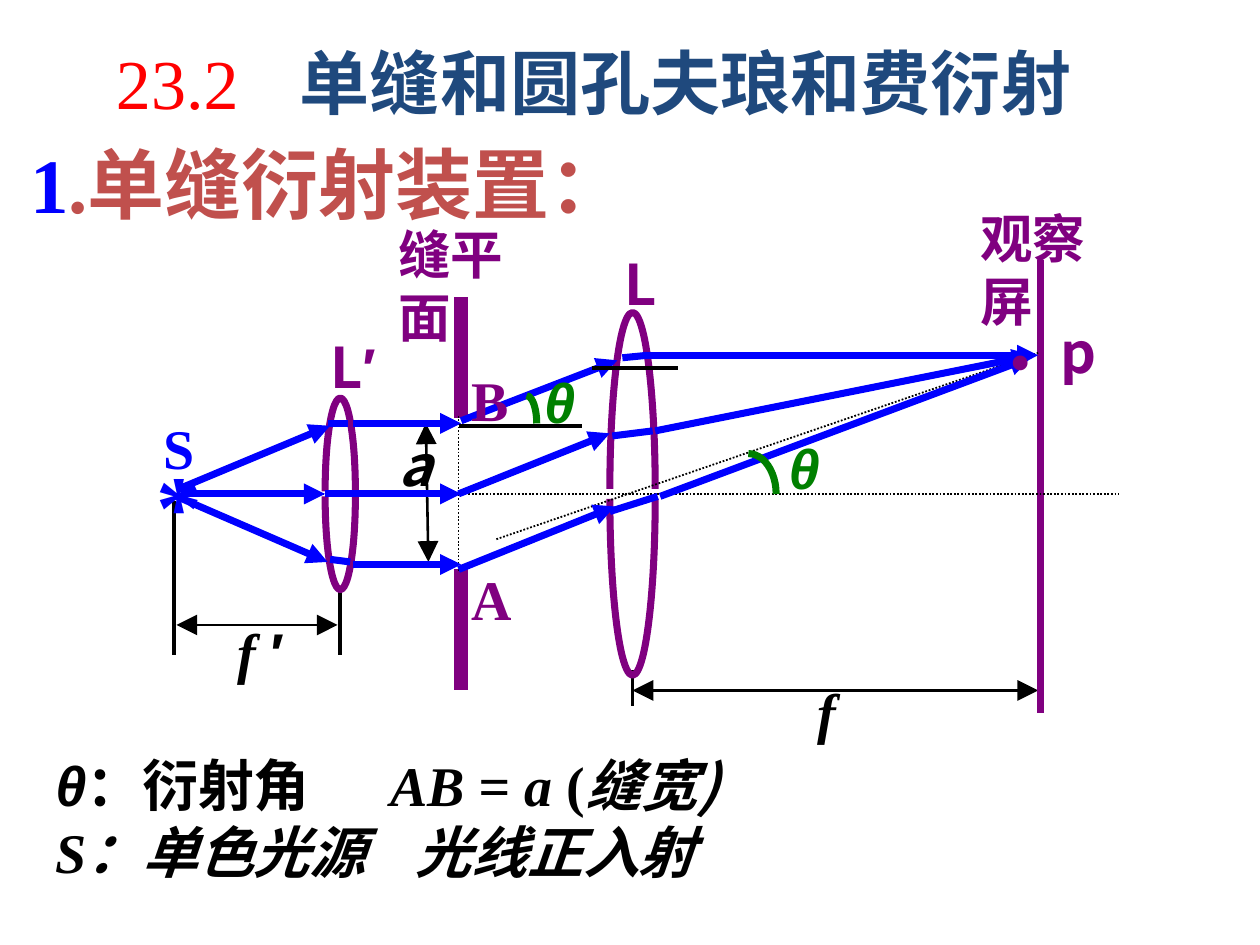
from pptx import Presentation
from pptx.dml.color import RGBColor
from pptx.enum.dml import MSO_LINE
from pptx.enum.shapes import MSO_CONNECTOR, MSO_SHAPE
from pptx.enum.text import MSO_ANCHOR as Anchor, MSO_AUTO_SIZE as AutoSize, PP_ALIGN as Align
from pptx.oxml.ns import qn
from pptx.util import Inches, Pt
from lxml.etree import SubElement

BLACK, BLUE, PURPLE, GREEN = "000000", "0000FF", "800080", "008000"
SERIF, SANS, CHINESE = "Times New Roman", "Arial", "Noto Sans CJK SC"


def rgb(value):
    return RGBColor.from_string(value)


def set_values(target, values):
    for name, value in values.items():
        setattr(target, name, value)


class DiagramSlide:
    def __init__(self, presentation):
        self.slide = presentation.slides.add_slide(presentation.slide_layouts[5])
        self.style = {"name": SERIF, "size": 16, "bold": True, "italic": False, "color": BLACK}

    def fill_text(self, shape, box, paragraphs, inset=0.01, tabs=(), **frame_format):
        set_values(shape, dict(zip(("left", "top", "width", "height"), map(Inches, box))))
        frame = shape.text_frame
        margins = {f"margin_{side}": Inches(inset) for side in ("left", "top", "right", "bottom")}
        set_values(frame, {"word_wrap": True, "auto_size": AutoSize.NONE, **margins, **frame_format})
        for index, runs in enumerate(paragraphs):
            paragraph = frame.add_paragraph() if index else frame.paragraphs[0]
            paragraph.alignment = Align.LEFT
            if tabs:
                tab_list = SubElement(paragraph._p.get_or_add_pPr(), qn("a:tabLst"))
                SubElement(tab_list, qn("a:tab"), pos=str(Inches(tabs[index])), algn="l")
            for text, changes in runs:
                self.add_run(paragraph, text, changes)

    def add_run(self, paragraph, text, changes):
        values = {**self.style, **changes}
        run = paragraph.add_run()
        run.text = text
        run.font.color.rgb = rgb(values.pop("color"))
        values["size"] = Pt(values["size"])
        set_values(run.font, values)
        SubElement(run._r.get_or_add_rPr(), qn("a:ea"), typeface=CHINESE)

    def title(self, box, paragraphs, **options):
        self.fill_text(self.slide.shapes.title, box, paragraphs, **options)

    def text(self, box, paragraphs, **options):
        shape = self.slide.shapes.add_textbox(0, 0, 0, 0)
        self.fill_text(shape, box, paragraphs, **options)

    def label(self, box, text, **changes):
        self.text(box, [[(text, changes)]])

    def line(self, points, color=BLACK, width=1, dash=None, ends=()):
        connector = self.slide.shapes.add_connector(MSO_CONNECTOR.STRAIGHT, *map(Inches, points))
        connector.line.color.rgb = rgb(color)
        set_values(connector.line, {"width": Pt(width), "dash_style": dash})
        for end in ends:
            SubElement(connector.line._get_or_add_ln(), qn(f"a:{end}End"), type="triangle")
        SubElement(connector._element.spPr, qn("a:effectLst"))

    def dimension(self, points):
        self.line(points, width=0.75, ends=("head", "tail"))

    def dotted(self, points):
        self.line(points, width=0.5, dash=MSO_LINE.ROUND_DOT)

    def arc(self, center_x, center_y, radius_x, radius_y, start, end, color):
        box = (center_x - radius_x, center_y - radius_y, 2 * radius_x, 2 * radius_y)
        shape = self.slide.shapes.add_shape(MSO_SHAPE.ARC, *map(Inches, box))
        shape.shadow.inherit = False
        shape.fill.background()
        shape.line.color.rgb = rgb(color)
        shape.line.width = Pt(2)
        for index, degrees in enumerate((start, end)):
            shape.adjustments[index] = degrees * 0.6

    def lens(self, center_x, center_y, radius_x, radius_y):
        gap = 0.01 if radius_y < 0.5 else 0.02
        self.arc(center_x, center_y - gap, radius_x, radius_y, 180, 0, PURPLE)
        self.arc(center_x, center_y + gap, radius_x, radius_y, 0, 180, PURPLE)


def draw_apparatus(diagram):
    diagram.dimension((0.7, 2.48, 1.34, 2.48))
    diagram.dimension((1.69, 1.68, 1.7, 2.23))
    diagram.dimension((2.51, 2.74, 4.12, 2.74))
    for points in ((0.69, 1.99, 0.69, 2.6), (1.35, 2.33, 1.35, 2.6), (2.51, 2.66, 2.51, 2.8)):
        diagram.line(points)
    for top in (1.18, 2.26):
        diagram.line((1.83, top, 1.83, top + 0.48), PURPLE, 4)
    diagram.lens(1.35, 1.96, 0.06, 0.37)
    diagram.lens(2.51, 1.96, 0.09, 0.7)
    diagram.line((4.13, 1.03, 4.13, 2.83), PURPLE, 2)
    for points in ((1.97, 2.14, 4.12, 1.4), (0.71, 1.96, 4.44, 1.96), (1.82, 1.65, 1.82, 2.27)):
        diagram.dotted(points)


def draw_rays(diagram):
    rays = (
        (0.72, 1.96, 1.29, 1.96), (1.29, 1.96, 1.83, 1.96),
        (1.4, 1.68, 1.83, 1.68), (1.4, 2.24, 1.83, 2.24),
        (0.71, 1.94, 1.31, 1.69), (0.7, 1.97, 1.3, 2.23),
        (1.82, 1.96, 2.42, 1.72), (1.83, 1.67, 2.45, 1.43), (1.82, 2.26, 2.44, 2.01),
        (2.56, 1.41, 4.12, 1.41), (2.6, 1.71, 4.1, 1.41), (2.62, 1.97, 4.09, 1.42),
    )
    inside_lenses = (
        (1.3, 1.68, 1.38, 1.68), (1.31, 2.22, 1.39, 2.23),
        (2.42, 2.03, 2.61, 1.97), (2.43, 1.73, 2.59, 1.71), (2.47, 1.42, 2.57, 1.41),
    )
    for points in rays:
        diagram.line(points, BLUE, 2, ends=("tail",))
    for points in inside_lenses:
        diagram.line(points, BLUE, 2)
    for points in ((1.82, 1.69, 2.31, 1.69), (2.35, 1.46, 2.69, 1.46)):
        diagram.line(points)
    diagram.arc(2.09, 1.68, 0.04, 0.11, 270, 0, GREEN)
    diagram.arc(2.97, 1.96, 0.11, 0.16, 270, 0, GREEN)


def draw_labels(diagram):
    diagram.label((0.61, 1.77, 0.24, 0.37), "*", size=26, color=BLUE)
    diagram.label((0.64, 1.63, 0.24, 0.24), "S", color=BLUE)
    diagram.label((3.18, 2.68, 0.42, 0.34), " f", italic=True)
    diagram.text((0.88, 2.44, 0.34, 0.37), [[(" f ", {"italic": True}), ("′", {"name": SANS})]])
    diagram.label((1.57, 1.7, 0.18, 0.22), "a", name=CHINESE, italic=True)
    for left, top in ((3.12, 1.71), (2.15, 1.45)):
        diagram.label((left, top, 0.24, 0.3), "θ", name=SANS, italic=True, color=GREEN)
    diagram.text((1.3, 1.31, 0.29, 0.33), [[
        ("L", {"name": CHINESE, "color": PURPLE}), ("′", {"name": SANS, "color": PURPLE})]])
    for text, left, top in (("L", 2.47, 0.98), ("p", 4.2, 1.25)):
        diagram.label((left, top, 0.24, 0.28), text, name=CHINESE, color=PURPLE)
    diagram.label((3.98, 1.19, 0.34, 0.35), "·", size=26, color=PURPLE)
    for text, top in (("A", 2.23), ("B", 1.44)):
        diagram.label((1.86, top, 0.22, 0.24), text, color=PURPLE)
    for text, left, top in (("缝平面", 1.57, 0.87), ("观察屏", 3.88, 0.81)):
        diagram.label((left, top, 0.63, 0.34), text, size=15, color=PURPLE)


def write_text(diagram):
    diagram.title((0.22, 0.14, 4.25, 0.33), [[
        ("23.2", {"size": 20, "bold": False, "color": "FF0000"}),
        ("\t", {"size": 23, "bold": False}),
        ("单缝和圆孔夫琅和费衍射", {"size": 20, "color": "1F497D"}),
    ]], inset=0.03, tabs=(0.73,), margin_left=Inches(0.24), vertical_anchor=Anchor.MIDDLE)
    diagram.text((-0.03, 0.54, 2.59, 0.37), [[
        ("1", {"size": 22, "color": BLUE}),
        (".单缝衍射装置：", {"size": 22, "color": "C0504D"}),
    ]], inset=0, margin_left=Inches(0.15), word_wrap=False, vertical_anchor=Anchor.MIDDLE)
    slanted = {"italic": True}
    diagram.text((0.22, 2.98, 4.65, 0.53), [
        [("θ", {"name": SANS, **slanted}), ("：衍射角\t", {}), ("AB = a", slanted),
         (" (", {}), ("缝宽", slanted), (")", {"name": CHINESE, **slanted})],
        [("S：单色光源\t光线正入射", slanted)],
    ], inset=0, tabs=(1.33, 1.43), vertical_anchor=Anchor.MIDDLE)


def main():
    presentation = Presentation()
    set_values(presentation, {"slide_width": Inches(5), "slide_height": Inches(3.75)})
    diagram = DiagramSlide(presentation)
    for draw in (draw_apparatus, draw_rays, draw_labels, write_text):
        draw(diagram)
    presentation.save("out.pptx")


if __name__ == "__main__":
    main()
